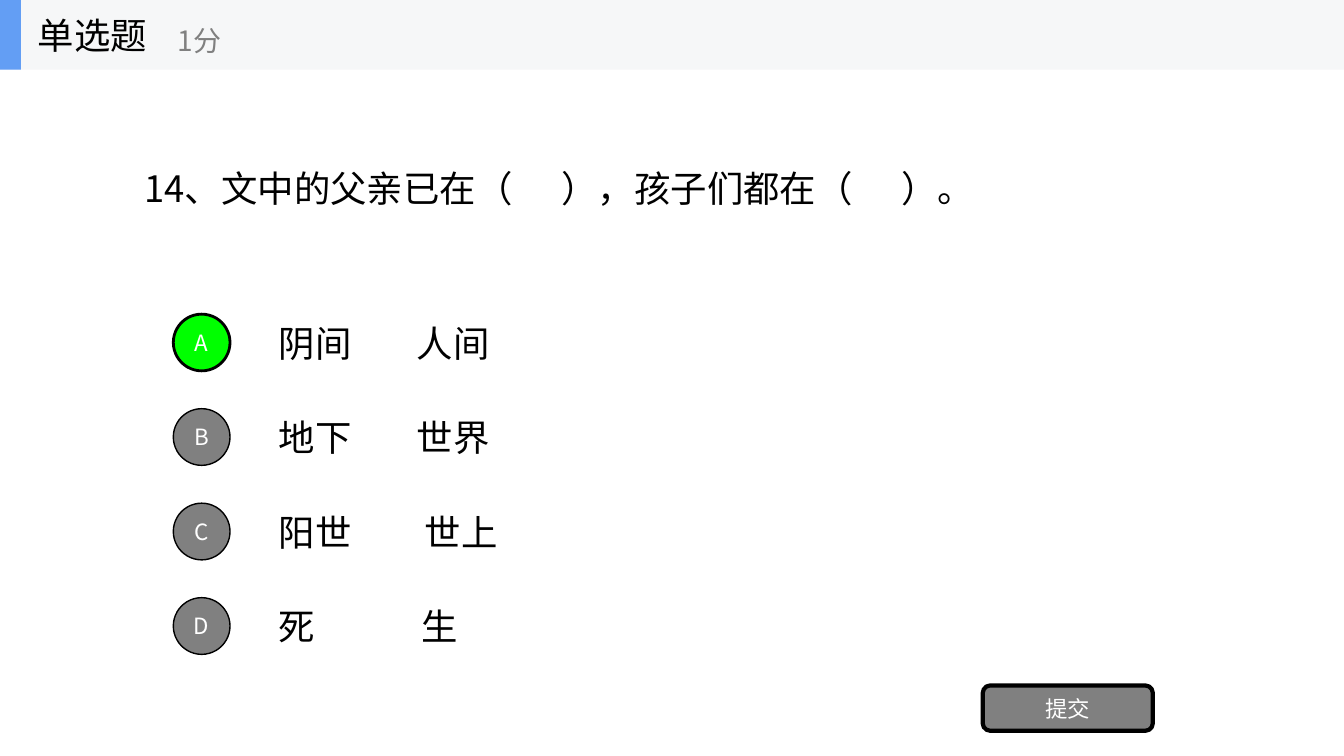
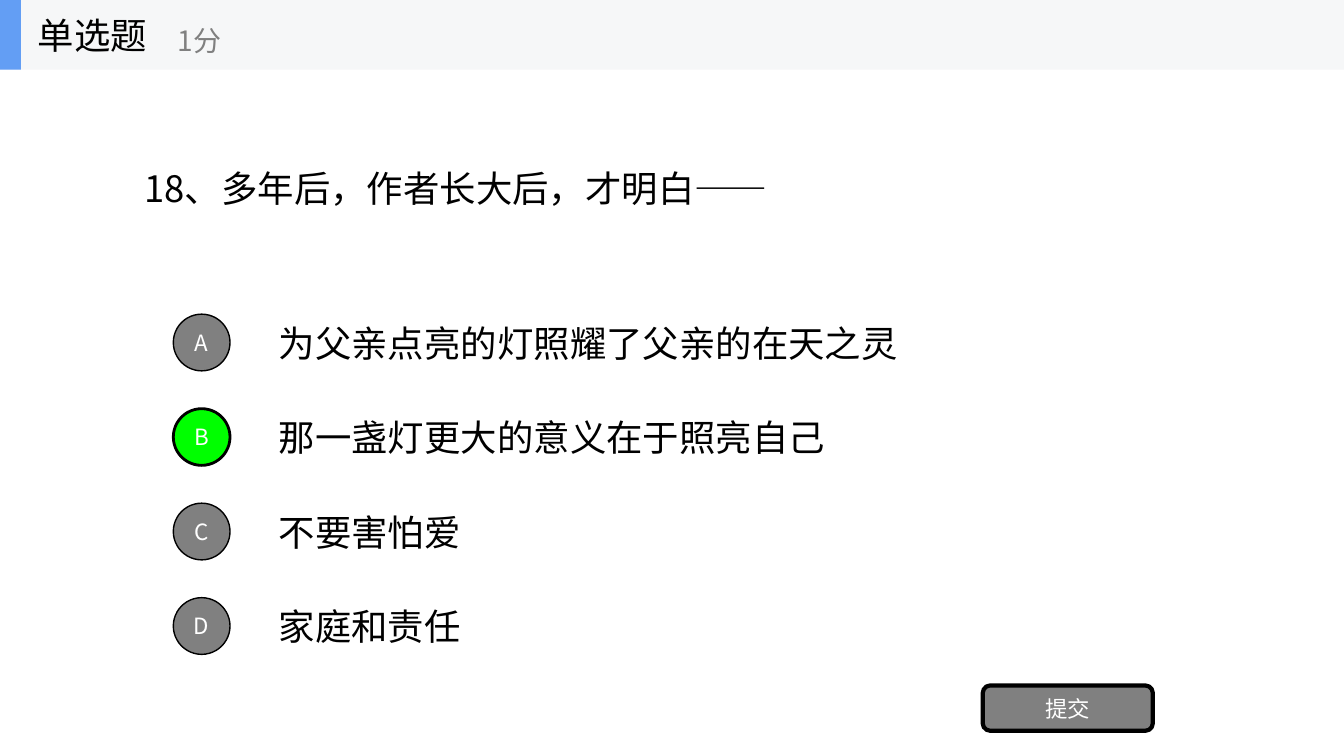
from dataclasses import dataclass
from typing import Any

from lxml import etree
from pptx import Presentation
from pptx.dml import color as dml
from pptx.enum import shapes, text
from pptx.oxml import ns
from pptx.util import Pt

FONT = "Noto Sans CJK SC"
HUES = {
    "ink": "000000",
    "white": "FFFFFF",
    "gray": "808080",
    "right": "00FF00",
    "band": "F6F7F8",
    "mark": "639EF4",
}
KIND = shapes.MSO_SHAPE
WIDTH, HEIGHT = 960, 540
BAND = 49.7
TOP, PITCH, ROW = 219.4, 67.5, 50.5
DISC = 40.5


@dataclass(frozen=True)
class Box:
    left: float
    top: float
    width: float
    height: float

    def lens(self) -> list[Pt]:
        return [Pt(n) for n in (self.left, self.top, self.width, self.height)]


@dataclass(frozen=True)
class Line:
    words: str
    stops: tuple[float, ...] = ()


@dataclass(frozen=True)
class Quiz:
    ask: Line
    picks: tuple[Line, ...]
    answer: int


QUIZZES = (
    Quiz(
        Line("14、文中的父亲已在（\t），孩子们都在（\t）。", (298, 540.8)),
        (
            Line("阴间\t人间", (98.6,)),
            Line("地下\t世界", (98.6,)),
            Line("阳世\t世上", (104.4,)),
            Line("死\t生", (101.7,)),
        ),
        0,
    ),
    Quiz(
        Line("18、多年后，作者长大后，才明白——"),
        (
            Line("为父亲点亮的灯照耀了父亲的在天之灵"),
            Line("那一盏灯更大的意义在于照亮自己"),
            Line("不要害怕爱"),
            Line("家庭和责任"),
        ),
        1,
    ),
)


def tint(name: str) -> dml.RGBColor:
    return dml.RGBColor.from_string(HUES[name])


def write(shape: Any, line: Line, size: float, hue: str,
          wrap: bool = True, mid: bool = False) -> None:
    frame = shape.text_frame
    frame.text = line.words
    frame.word_wrap = wrap
    frame.vertical_anchor = text.MSO_ANCHOR.MIDDLE
    para = frame.paragraphs[0]
    para.alignment = text.PP_ALIGN.CENTER if mid else text.PP_ALIGN.LEFT
    for run in para.runs:
        run.font.size = Pt(size)
        run.font.color.rgb = tint(hue)
        run.font.name = FONT
        props = run._r.get_or_add_rPr()
        etree.SubElement(props, ns.qn("a:ea"), typeface=FONT)
    if line.stops:
        tabs = etree.SubElement(para._p.get_or_add_pPr(), ns.qn("a:tabLst"))
        for stop in line.stops:
            etree.SubElement(tabs, ns.qn("a:tab"), pos=str(int(Pt(stop))), algn="l")


def label(tree: Any, box: Box, line: Line, size: float = 26,
          hue: str = "ink", wrap: bool = True) -> None:
    write(tree.add_textbox(*box.lens()), line, size, hue, wrap)


def block(tree: Any, kind: Any, box: Box, hue: str, edge: float = 0) -> Any:
    shape = tree.add_shape(kind, *box.lens())
    shape.shadow.inherit = False
    shape.fill.solid()
    shape.fill.fore_color.rgb = tint(hue)
    if edge:
        shape.line.color.rgb = tint("ink")
        shape.line.width = Pt(edge)
    else:
        shape.line.fill.background()
    return shape


def button(tree: Any, kind: Any, box: Box, words: str, hue: str, edge: float) -> None:
    write(block(tree, kind, box, hue, edge), Line(words), 16, "white", mid=True)


def header(tree: Any) -> None:
    group = tree.add_group_shape().shapes
    block(group, KIND.RECTANGLE, Box(0, 0, WIDTH, BAND), "band")
    block(group, KIND.RECTANGLE, Box(0, 0, 15, BAND), "mark")
    label(group, Box(20, 0, 150, BAND), Line("单选题"), wrap=False)
    label(group, Box(120, 8.6, 180, 40.5), Line("1分"), 20, "gray", wrap=False)


def draw(tree: Any, quiz: Quiz) -> None:
    label(tree, Box(96, BAND, 768, 168.5), quiz.ask)
    tops = [TOP + PITCH * n for n in range(len(quiz.picks))]
    for top, pick in zip(tops, quiz.picks):
        label(tree, Box(192, top, 672, ROW), pick)
    for n, top in enumerate(tops):
        hit = n == quiz.answer
        disc = Box(123.8, top + (ROW - DISC) / 2, DISC, DISC)
        button(tree, KIND.OVAL, disc, "ABCD"[n],
               "right" if hit else "gray", 2 if hit else 1)
    button(tree, KIND.ROUNDED_RECTANGLE, Box(702, 489.6, 121.5, 32.4),
           "提交", "gray", 3)
    header(tree)


def main() -> None:
    deck = Presentation()
    deck.slide_width, deck.slide_height = Pt(WIDTH), Pt(HEIGHT)
    for quiz in QUIZZES:
        draw(deck.slides.add_slide(deck.slide_layouts[6]).shapes, quiz)
    deck.save("out.pptx")


if __name__ == "__main__":
    main()
